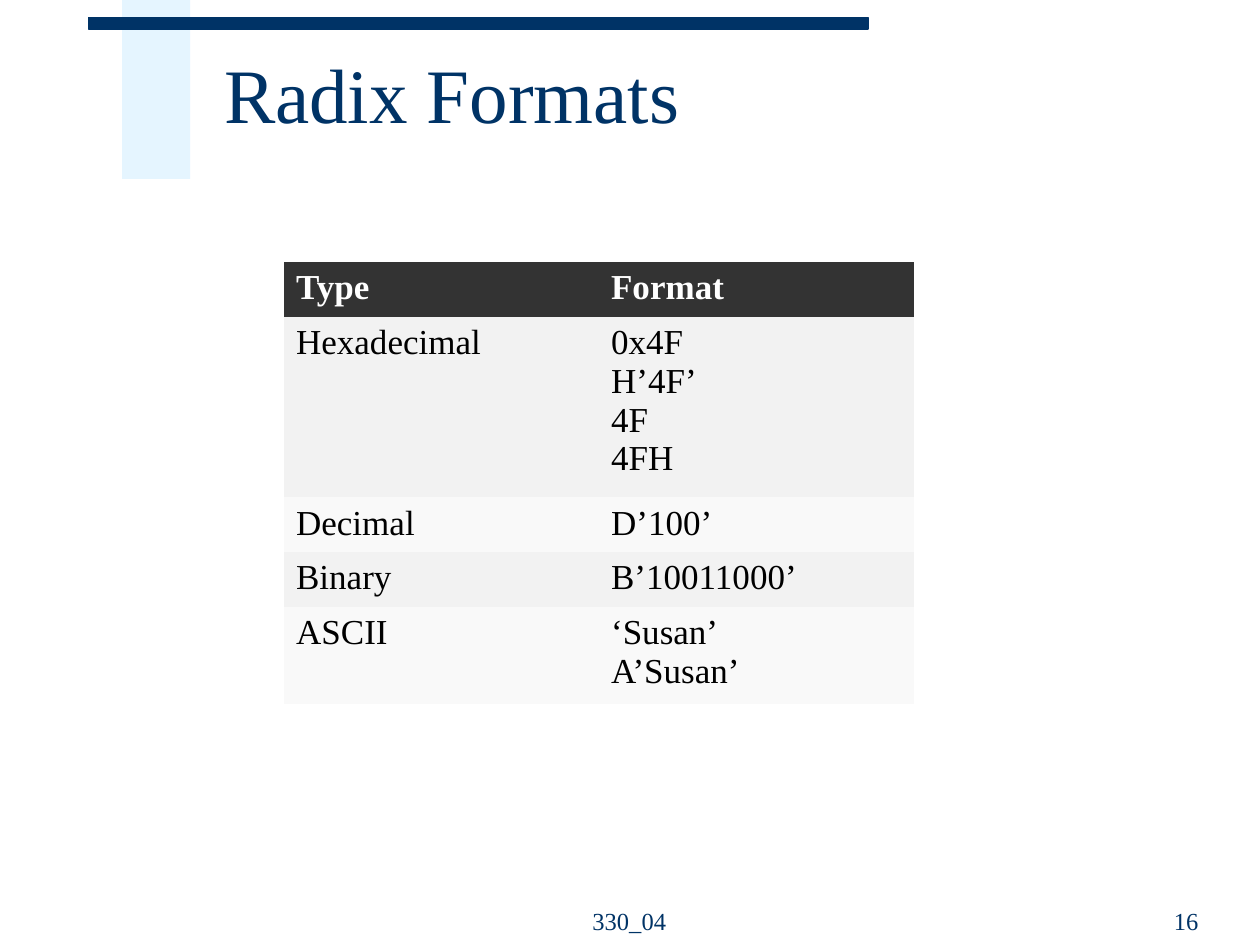
import dataclasses
import typing

import lxml.etree
import pptx
import pptx.dml.color
import pptx.enum.shapes
import pptx.enum.text
import pptx.oxml.ns
import pptx.util

Inches = pptx.util.Inches
Align = pptx.enum.text.PP_ALIGN
Anchor = pptx.enum.text.MSO_ANCHOR


@dataclasses.dataclass(frozen=True)
class Theme:
    font: str = "Times New Roman"
    navy: str = "003366"
    pale_blue: str = "CCECFF"
    header_fill: str = "333333"
    header_text: str = "FFFFFF"
    body_text: str = "000000"
    bands: tuple[str, str] = ("F2F2F2", "F9F9F9")
    title_size: int = 44
    table_size: int = 20
    footer_size: int = 14


@dataclasses.dataclass(frozen=True)
class Box:
    left: float
    top: float
    width: float
    height: float

    def lengths(self) -> tuple[int, ...]:
        return tuple(Inches(side) for side in dataclasses.astuple(self))


@dataclasses.dataclass(frozen=True)
class Bar:
    box: Box
    color: str
    opacity: int = 100
    outlined: bool = False


@dataclasses.dataclass(frozen=True)
class Label:
    box: Box
    text: str
    size: int
    align: Align
    anchor: Anchor
    spacing: float = 1.0


@dataclasses.dataclass(frozen=True)
class RadixRow:
    kind: str
    formats: str
    height: float


THEME = Theme()
BARS = (
    Bar(Box(0.97, 0, 0.54, 1.42), THEME.pale_blue, opacity=50),
    Bar(Box(0.7, 0.14, 6.19, 0.09), THEME.navy, outlined=True),
)
LABELS = (
    Label(Box(1.68, 0.17, 8.07, 1.25), "Radix Formats", THEME.title_size,
          Align.LEFT, Anchor.MIDDLE, 0.85),
    Label(Box(4.08, 6.97, 1.83, 0.5), "330_04", THEME.footer_size,
          Align.CENTER, Anchor.BOTTOM),
    Label(Box(7.21, 6.97, 2.4, 0.5), "16", THEME.footer_size,
          Align.RIGHT, Anchor.BOTTOM),
)
TABLE_BOX = Box(2.25, 2.08, 5, 3.5)
ROWS = (
    RadixRow("Type", "Format", 0.43),
    RadixRow("Hexadecimal", "0x4F\nH’4F’\n4F\n4FH", 1.43),
    RadixRow("Decimal", "D’100’", 0.43),
    RadixRow("Binary", "B’10011000’", 0.43),
    RadixRow("ASCII", "‘Susan’\nA’Susan’", 0.77),
)


def rgb(color: str) -> pptx.dml.color.RGBColor:
    return pptx.dml.color.RGBColor.from_string(color)


def apply_format(target: typing.Any, values: dict[str, typing.Any]) -> None:
    for name, value in values.items():
        setattr(target, name, value)


def write_text(frame, text: str, size: int, color: str, bold: bool = False,
               align: Align = Align.LEFT, spacing: float = 1.0) -> None:
    frame.text = text
    for paragraph in frame.paragraphs:
        apply_format(paragraph, {"alignment": align, "line_spacing": spacing})
        for run in paragraph.runs:
            apply_format(run.font, {"name": THEME.font, "bold": bold,
                                    "size": pptx.util.Pt(size)})
            run.font.color.rgb = rgb(color)


def draw_bar(slide, bar: Bar) -> None:
    rectangle = slide.shapes.add_shape(
        pptx.enum.shapes.MSO_SHAPE.RECTANGLE, *bar.box.lengths())
    rectangle.shadow.inherit = False
    rectangle.fill.solid()
    rectangle.fill.fore_color.rgb = rgb(bar.color)
    if bar.outlined:
        rectangle.line.color.rgb = rgb(bar.color)
        rectangle.line.width = pptx.util.Pt(0.75)
    else:
        rectangle.line.fill.background()
    if bar.opacity < 100:
        qn = pptx.oxml.ns.qn
        fill_color = rectangle.fill._xPr.find(qn("a:solidFill"))[0]
        alpha = lxml.etree.SubElement(fill_color, qn("a:alpha"))
        alpha.set("val", str(bar.opacity * 1000))


def draw_label(slide, label: Label) -> None:
    frame = slide.shapes.add_textbox(*label.box.lengths()).text_frame
    apply_format(frame, {"word_wrap": True, "vertical_anchor": label.anchor})
    write_text(frame, label.text, label.size, THEME.navy,
               align=label.align, spacing=label.spacing)


def draw_table(slide, box: Box, rows: tuple[RadixRow, ...]) -> None:
    table = slide.shapes.add_table(len(rows), 2, *box.lengths()).table
    for index, row in enumerate(rows):
        header = index == 0
        table.rows[index].height = Inches(row.height)
        fill = THEME.header_fill if header else THEME.bands[(index - 1) % 2]
        color = THEME.header_text if header else THEME.body_text
        for cell, text in zip(table.rows[index].cells, (row.kind, row.formats)):
            cell.fill.solid()
            cell.fill.fore_color.rgb = rgb(fill)
            write_text(cell.text_frame, text, THEME.table_size, color, header)
    strip_borders(table)


def strip_borders(table) -> None:
    qn = pptx.oxml.ns.qn
    for cell in table.iter_cells():
        properties = cell._tc.get_or_add_tcPr()
        for position, side in enumerate(("a:lnL", "a:lnR", "a:lnT", "a:lnB")):
            border = lxml.etree.Element(qn(side))
            lxml.etree.SubElement(border, qn("a:noFill"))
            properties.insert(position, border)


def main() -> None:
    presentation = pptx.Presentation()
    apply_format(presentation, {"slide_width": Inches(10),
                                "slide_height": Inches(7.5)})
    slide = presentation.slides.add_slide(presentation.slide_layouts[6])
    for bar in BARS:
        draw_bar(slide, bar)
    for label in LABELS:
        draw_label(slide, label)
    draw_table(slide, TABLE_BOX, ROWS)
    presentation.save("out.pptx")


if __name__ == "__main__":
    main()
